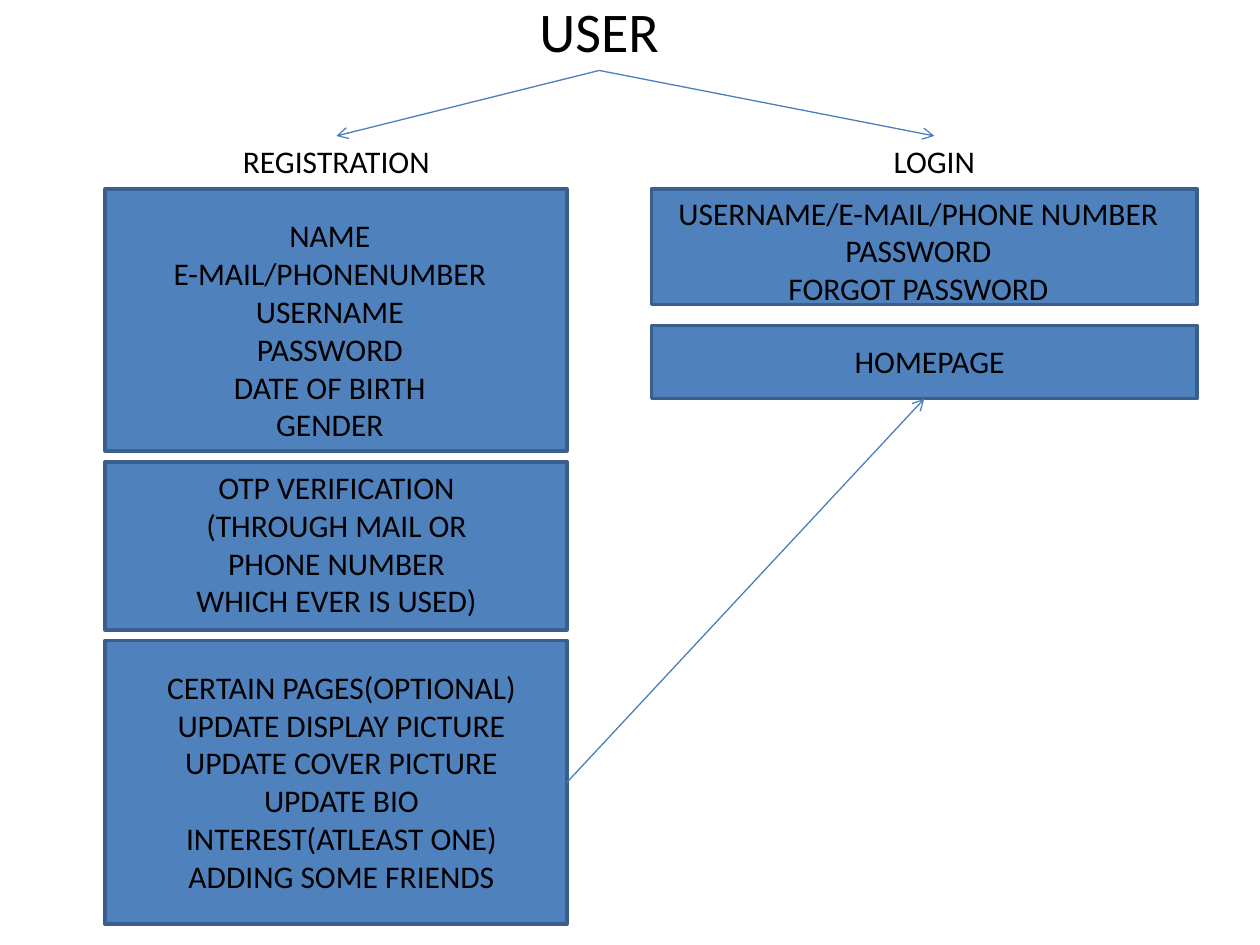
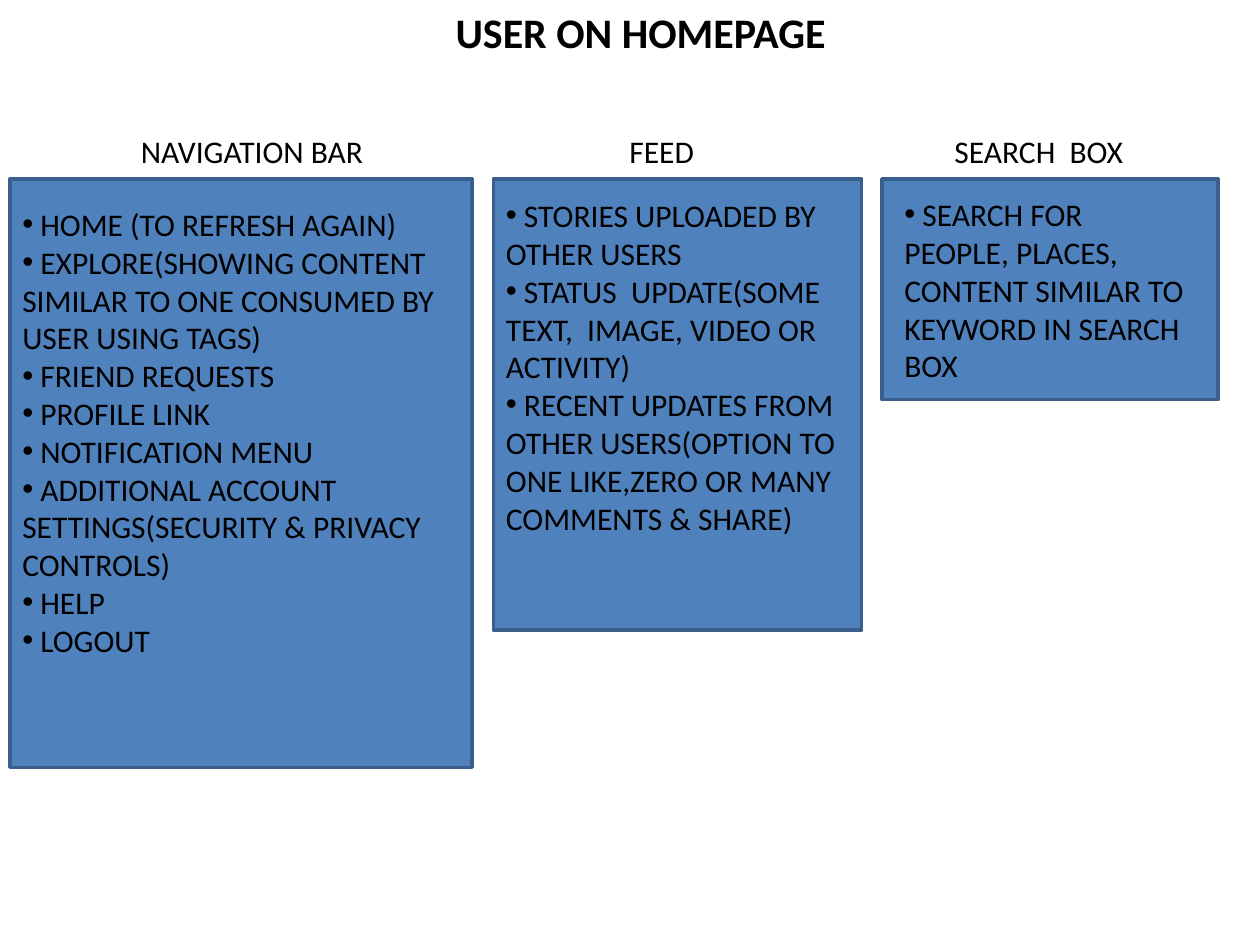
"""Build two slides on the user flow: signing in, and the homepage."""
from lxml import etree
from pptx import Presentation
from pptx import util as u
from pptx.dml.color import RGBColor
from pptx.enum import shapes, text
from pptx.oxml.ns import qn

COLOURS = {"fill": "4F81BD", "edge": "3A5F8C", "arrow": "4B7EBC", "ink": "000000"}
FONT = "Calibri"
BODY_SIZE = 18


def add_panel(slide, left, top, width, height):
    panel = slide.shapes.add_shape(
        shapes.MSO_SHAPE.RECTANGLE, u.Cm(left), u.Cm(top), u.Cm(width), u.Cm(height))
    panel.shadow.inherit = False
    panel.fill.solid()
    panel.fill.fore_color.rgb = RGBColor.from_string(COLOURS["fill"])
    panel.line.color.rgb = RGBColor.from_string(COLOURS["edge"])
    panel.line.width = u.Pt(2)
    return panel


def write(holder, area, lines, size=BODY_SIZE, bold=False, bullets=False):
    holder.left, holder.top, holder.width, holder.height = (u.Cm(n) for n in area)
    frame = holder.text_frame
    frame.word_wrap = True
    frame.auto_size = text.MSO_AUTO_SIZE.NONE
    frame.vertical_anchor = text.MSO_ANCHOR.TOP
    frame.text = "\n".join(lines)
    for paragraph in frame.paragraphs:
        paragraph.alignment = text.PP_ALIGN.LEFT if bullets else text.PP_ALIGN.CENTER
        if bullets:
            properties = paragraph._p.get_or_add_pPr()
            etree.SubElement(properties, qn("a:buFont"), typeface="Arial")
            etree.SubElement(properties, qn("a:buChar"), char="•")
        for run in paragraph.runs:
            run.font.name = FONT
            run.font.size = u.Pt(size)
            run.font.bold = bold
            run.font.color.rgb = RGBColor.from_string(COLOURS["ink"])
    return holder


deck = Presentation()
deck.slide_width, deck.slide_height = u.Cm(25.4), u.Cm(19.05)
title_only = deck.slide_layouts[5]

entry = deck.slides.add_slide(title_only)
user = write(entry.shapes.title, (8.69, -0.2, 6.78, 1.62), ["USER"], size=32)

headings = []
for heading, left, width in [("REGISTRATION", 4.24, 5.08), ("LOGIN", 16.51, 4.65)]:
    label = entry.shapes.add_textbox(0, 0, 0, 0)
    headings.append(write(label, (left, 2.74, width, 1.07), [heading]))
registration, login = headings

REGISTRATION_COLUMN = (2.12, 9.31)
LOGIN_COLUMN = (13.13, 11.0)
steps = [
    (REGISTRATION_COLUMN, 3.81, 5.28, (2.74, 4.24, 7.82, 4.88),
     ["NAME", "E-MAIL/PHONENUMBER", "USERNAME", "PASSWORD", "DATE OF BIRTH", "GENDER"]),
    (REGISTRATION_COLUMN, 9.31, 3.39, (3.61, 9.31, 6.35, 3.33),
     ["OTP VERIFICATION", "(THROUGH MAIL OR PHONE NUMBER", "WHICH EVER IS USED)"]),
    (REGISTRATION_COLUMN, 12.91, 5.72, (2.34, 13.34, 9.09, 4.88),
     ["CERTAIN PAGES(OPTIONAL)", "UPDATE DISPLAY PICTURE", "UPDATE COVER PICTURE",
      "UPDATE BIO", "INTEREST(ATLEAST ONE)", "ADDING SOME FRIENDS"]),
    (LOGIN_COLUMN, 3.81, 2.33, (12.7, 3.78, 11.63, 2.57),
     ["USERNAME/E-MAIL/PHONE NUMBER", "PASSWORD", "FORGOT PASSWORD"]),
    (LOGIN_COLUMN, 6.56, 1.48, (13.34, 6.78, 10.8, 1.02), ["HOMEPAGE"]),
]
panels = []
for (left, width), top, height, area, lines in steps:
    panels.append(add_panel(entry, left, top, width, height))
    write(entry.shapes.add_textbox(0, 0, 0, 0), area, lines)
optional_pages, homepage = panels[2], panels[4]

for source, source_side, target, target_side in [
    (user, 2, registration, 0),
    (user, 2, login, 0),
    (optional_pages, 3, homepage, 2),
]:
    arrow = entry.shapes.add_connector(shapes.MSO_CONNECTOR.STRAIGHT, 0, 0, 0, 0)
    arrow.begin_connect(source, source_side)
    arrow.end_connect(target, target_side)
    arrow.line.color.rgb = RGBColor.from_string(COLOURS["arrow"])
    arrow.line.width = u.Pt(0.75)
    etree.SubElement(arrow.line._get_or_add_ln(), qn("a:tailEnd"), type="arrow")
    etree.SubElement(arrow._element.spPr, qn("a:effectLst"))

home = deck.slides.add_slide(title_only)
write(home.shapes.title, (6.78, 0, 12.27, 1.27), ["USER ON HOMEPAGE"], size=24, bold=True)

PANEL_TOP = 3.61
HEADING_TOP = 2.54
sections = [
    ("NAVIGATION BAR", (1.27, 7.62), (0.2, 9.32, 11.86), (0.2, 4.01, 9.32, 9.5),
     [" HOME (TO REFRESH AGAIN)",
      " EXPLORE(SHOWING CONTENT SIMILAR TO ONE CONSUMED BY USER USING TAGS)",
      " FRIEND REQUESTS", " PROFILE LINK", " NOTIFICATION MENU",
      " ADDITIONAL ACCOUNT SETTINGS(SECURITY & PRIVACY  CONTROLS)",
      " HELP", " LOGOUT"]),
    ("FEED", (10.8, 5.08), (9.95, 7.42, 9.09), (9.95, 3.83, 8.25, 7.19),
     [" STORIES UPLOADED BY OTHER USERS",
      " STATUS  UPDATE(SOME TEXT,  IMAGE, VIDEO OR ACTIVITY)",
      " RECENT UPDATES FROM OTHER USERS(OPTION TO ONE LIKE,ZERO OR MANY COMMENTS & SHARE)"]),
    ("SEARCH  BOX", (17.98, 5.92), (17.78, 6.78, 4.45), (17.98, 3.81, 6.35, 4.11),
     [" SEARCH FOR PEOPLE, PLACES, CONTENT SIMILAR TO KEYWORD IN SEARCH BOX"]),
]
for heading, (label_left, label_width), (left, width, height), area, items in sections:
    add_panel(home, left, PANEL_TOP, width, height)
    write(home.shapes.add_textbox(0, 0, 0, 0),
          (label_left, HEADING_TOP, label_width, 1.04), [heading])
    write(home.shapes.add_textbox(0, 0, 0, 0), area, items, bullets=True)

deck.save("out.pptx")
